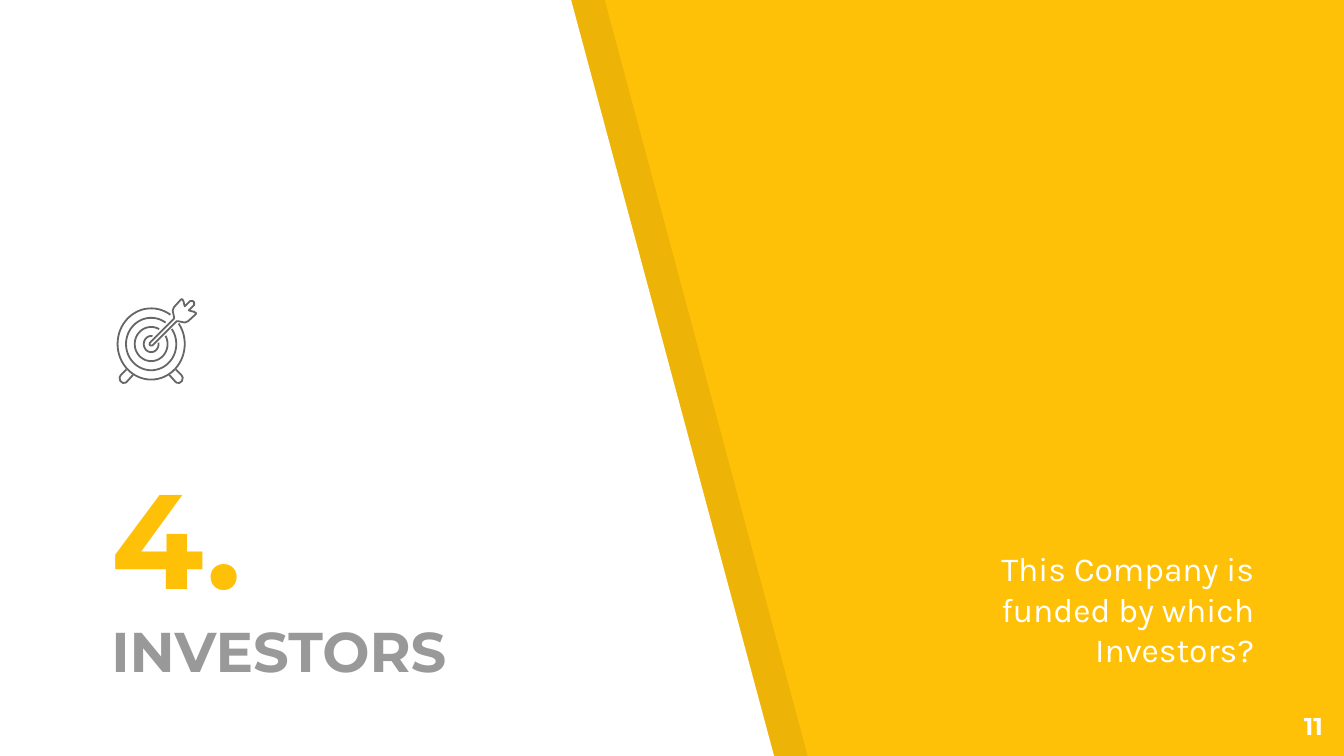
from math import cos, radians, sin

from lxml.etree import SubElement
from pptx import Presentation
from pptx.dml.color import RGBColor
from pptx.enum.text import MSO_ANCHOR, PP_ALIGN
from pptx.oxml.ns import qn
from pptx.util import Inches, Pt

AMBER = RGBColor(0xFF, 0xC1, 0x07)
WHITE = RGBColor(0xFF, 0xFF, 0xFF)
BLACK = RGBColor(0, 0, 0)
GREY = RGBColor(0x99, 0x99, 0x99)
DARK = RGBColor(0x66, 0x66, 0x66)
HEAD, BODY = "Montserrat", "Karla"
COLS, ROWS = 100, 56.25


class Deck:
    """Draws on one slide, with lengths in cells of a 100-column grid."""

    def __init__(self):
        self.file = Presentation()
        self.file.slide_width = self.cell(COLS)
        self.file.slide_height = self.cell(ROWS)
        self.slide = self.file.slides.add_slide(self.file.slide_layouts[6])
        self.slide.background.fill.solid()
        self.slide.background.fill.fore_color.rgb = AMBER

    def cell(self, size):
        return Inches(size / 10)

    def trace(self, home, dots, close):
        spots = [(self.cell(x), self.cell(y)) for x, y in dots]
        pen = home.build_freeform(*spots[0])
        pen.add_line_segments(spots[1:], close=close)
        shape = pen.convert_to_shape()
        shape.shadow.inherit = False
        return shape

    def panel(self, dots, color, alpha=100):
        shape = self.trace(self.slide.shapes, dots, True)
        shape.fill.solid()
        shape.fill.fore_color.rgb = color
        shape.line.fill.background()
        if alpha < 100:
            tint = shape.fill._xPr.find(".//" + qn("a:srgbClr"))
            SubElement(tint, qn("a:alpha")).set("val", str(alpha * 1000))

    def stroke(self, home, dots, close=False):
        shape = self.trace(home, dots, close)
        shape.fill.background()
        shape.line.color.rgb = DARK
        shape.line.width = Pt(0.96)

    def text(self, area, lines, font, bold=False, align=PP_ALIGN.LEFT,
             anchor=MSO_ANCHOR.BOTTOM):
        frame = self.slide.shapes.add_textbox(*map(self.cell, area)).text_frame
        frame.word_wrap = True
        frame.vertical_anchor = anchor
        frame.margin_left = frame.margin_right = self.cell(1)
        frame.margin_top = frame.margin_bottom = self.cell(1)
        for rank, (words, size, color) in enumerate(lines):
            para = frame.add_paragraph() if rank else frame.paragraphs[0]
            para.alignment = align
            run = para.add_run()
            run.text = words
            run.font.name = font
            run.font.size = Pt(size)
            run.font.bold = bold
            run.font.color.rgb = color

    def target(self, mid_x, mid_y):
        home = self.slide.shapes.add_group_shape().shapes
        for wide, tall, gap in ((2.5, 2.65, 10), (1.87, 1.95, 10),
                                (0.55, 0.6, 35), (1.22, 1.27, 16)):
            span = 360 - 2 * gap
            turns = [radians(45 + gap + span * step / 60) for step in range(61)]
            self.stroke(home, [(mid_x + wide * cos(turn), mid_y - tall * sin(turn))
                               for turn in turns])
        leg = [(1.85, 1.9), (2.25, 2.3), (2.35, 2.5), (2.3, 2.75), (2.1, 2.9),
               (1.9, 2.88), (1.8, 2.8), (1.35, 2.3)]
        for side in (-1, 1):
            self.stroke(home, [(mid_x + side * x, mid_y + y) for x, y in leg])
        half = [(3.1, -3.2), (2.9, -3.2), (2.5, -2.8), (2.4, -3.2), (2.3, -3.35),
                (2.2, -3.3), (1.7, -2.75), (1.6, -2.5), (1.7, -2), (1.7, -1.9),
                (-0.1, -0.1), (-0.12, 0.05)]
        dart = half + [(-y, -x) for x, y in reversed(half)]
        self.stroke(home, [(mid_x + x, mid_y + y) for x, y in dart], True)


def main():
    deck = Deck()
    for left, color, alpha in ((2.5, BLACK, 7), (0, WHITE, 100)):
        deck.panel([(left, 0), (left, ROWS), (left + 57.6, ROWS),
                    (left + 42.5, 0)], color, alpha)
    deck.text((7.3, 29.3, 38.5, 22.6),
              [("4.", 72, AMBER), ("INVESTORS", 30, GREY)], HEAD, True)
    deck.text((73.5, 35.7, 20.8, 15.1),
              [("This Company is funded by which Investors?", 18, WHITE)],
              BODY, align=PP_ALIGN.RIGHT)
    deck.text((93.4, 51.9, 6, 4.3), [("11", 13, WHITE)], HEAD, True,
              PP_ALIGN.RIGHT, MSO_ANCHOR.TOP)
    deck.target(11.25, 25.6)
    deck.file.save("out.pptx")


if __name__ == "__main__":
    main()
